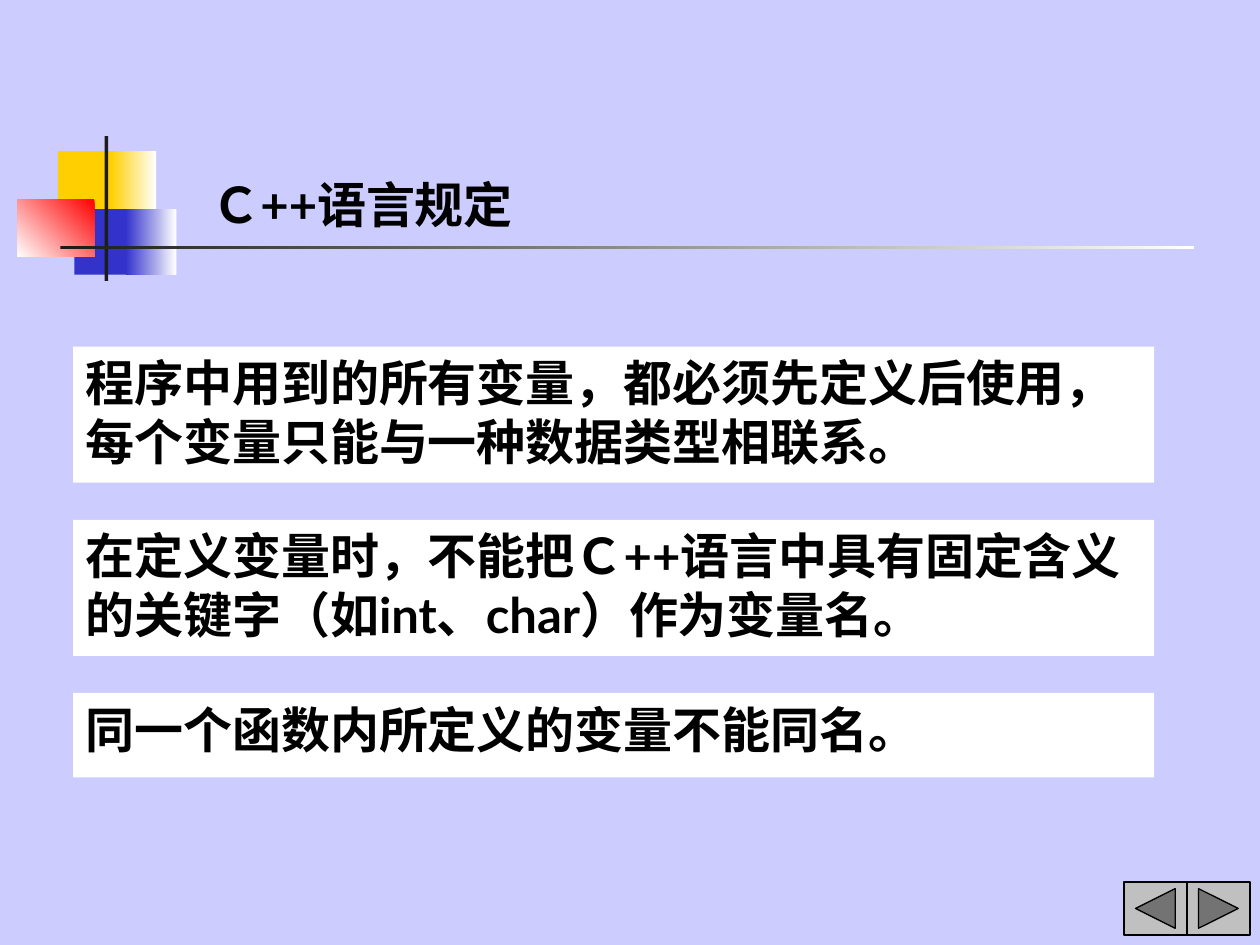
from pptx import Presentation
from pptx.dml.color import RGBColor
from pptx.enum.shapes import MSO_SHAPE
from pptx.enum.text import MSO_ANCHOR, PP_ALIGN
from pptx.util import Inches, Pt

LAVENDER = RGBColor(0xCC, 0xCC, 0xFF)
YELLOW = RGBColor(0xFF, 0xCF, 0x01)
BLUE = RGBColor(0x33, 0x33, 0xCC)
RED = RGBColor(0xFF, 0x00, 0x00)
CHARCOAL = RGBColor(0x1C, 0x1C, 0x1C)
SILVER = RGBColor(0xC0, 0xC0, 0xC0)
BLACK = RGBColor(0x00, 0x00, 0x00)
WHITE = RGBColor(0xFF, 0xFF, 0xFF)

FONT = "Lato"
PANEL_LEFT, PANEL_TOP, PANEL_WIDTH = 0.58, 2.75, 8.58
PANEL_GAP = 0.295
BUTTON_WIDTH, BUTTON_HEIGHT = 0.5, 0.42

RULES = [
    ("程序中用到的所有变量，都必须先定义后使用，每个变量只能与一种数据类型相联系。", 1.08),
    ("在定义变量时，不能把Ｃ++语言中具有固定含义的关键字（如int、char）作为变量名。", 1.08),
    ("同一个函数内所定义的变量不能同名。", 0.67),
]


def add_block(slide, box, color, preset=MSO_SHAPE.RECTANGLE):
    sp = slide.shapes.add_shape(preset, *map(Inches, box))
    sp.shadow.inherit = False
    sp.fill.solid()
    sp.fill.fore_color.rgb = color
    sp.line.fill.background()
    return sp


def add_fade(slide, box, color, angle=0):
    """Rectangle that fades from the colour to white."""
    sp = add_block(slide, box, color)
    sp.fill.gradient()
    sp.fill.gradient_angle = angle
    for stop, rgb in zip(sp.fill.gradient_stops, (color, WHITE)):
        stop.color.rgb = rgb


def write(sp, text, anchor):
    tf = sp.text_frame
    tf.word_wrap = True
    tf.vertical_anchor = anchor
    p = tf.paragraphs[0]
    p.text = text
    p.alignment = PP_ALIGN.LEFT
    p.font.name = FONT
    p.font.size = Pt(28)
    p.font.bold = True
    p.font.color.rgb = BLACK


def add_ornament(slide):
    add_block(slide, (0.46, 1.2, 0.48, 0.52), YELLOW)
    add_fade(slide, (0.88, 1.2, 0.36, 0.52), YELLOW)
    add_block(slide, (0.59, 1.66, 0.46, 0.52), BLUE)
    add_fade(slide, (1, 1.66, 0.4, 0.52), BLUE)
    add_fade(slide, (0.14, 1.58, 0.61, 0.46), RED, 225)
    add_block(slide, (0.83, 1.08, 0.03, 1.15), CHARCOAL)
    add_fade(slide, (0.48, 1.95, 9, 0.03), CHARCOAL)


def add_title(slide, text):
    box = slide.shapes.add_textbox(*map(Inches, (1.58, 1.33, 3.41, 0.57)))
    write(box, text, MSO_ANCHOR.BOTTOM)


def add_rules(slide):
    top = PANEL_TOP
    for text, height in RULES:
        panel = add_block(slide, (PANEL_LEFT, top, PANEL_WIDTH, height), WHITE)
        write(panel, text, MSO_ANCHOR.TOP)
        top += height + PANEL_GAP


def add_buttons(slide):
    presets = (MSO_SHAPE.ACTION_BUTTON_BACK_OR_PREVIOUS,
               MSO_SHAPE.ACTION_BUTTON_FORWARD_OR_NEXT)
    for col, preset in enumerate(presets):
        box = (8.92 + col * BUTTON_WIDTH, 7, BUTTON_WIDTH, BUTTON_HEIGHT)
        button = add_block(slide, box, SILVER, preset)
        button.line.color.rgb = BLACK
        button.line.width = Pt(0.75)


def main():
    prs = Presentation()
    prs.slide_width, prs.slide_height = Inches(10), Inches(7.5)
    s = prs.slides.add_slide(prs.slide_layouts[6])
    s.background.fill.solid()
    s.background.fill.fore_color.rgb = LAVENDER

    # Heading with its ornament
    add_ornament(s)
    add_title(s, "Ｃ++语言规定")

    # Rules, stacked with equal gaps
    add_rules(s)

    # Navigation
    add_buttons(s)
    prs.save("out.pptx")


if __name__ == "__main__":
    main()
